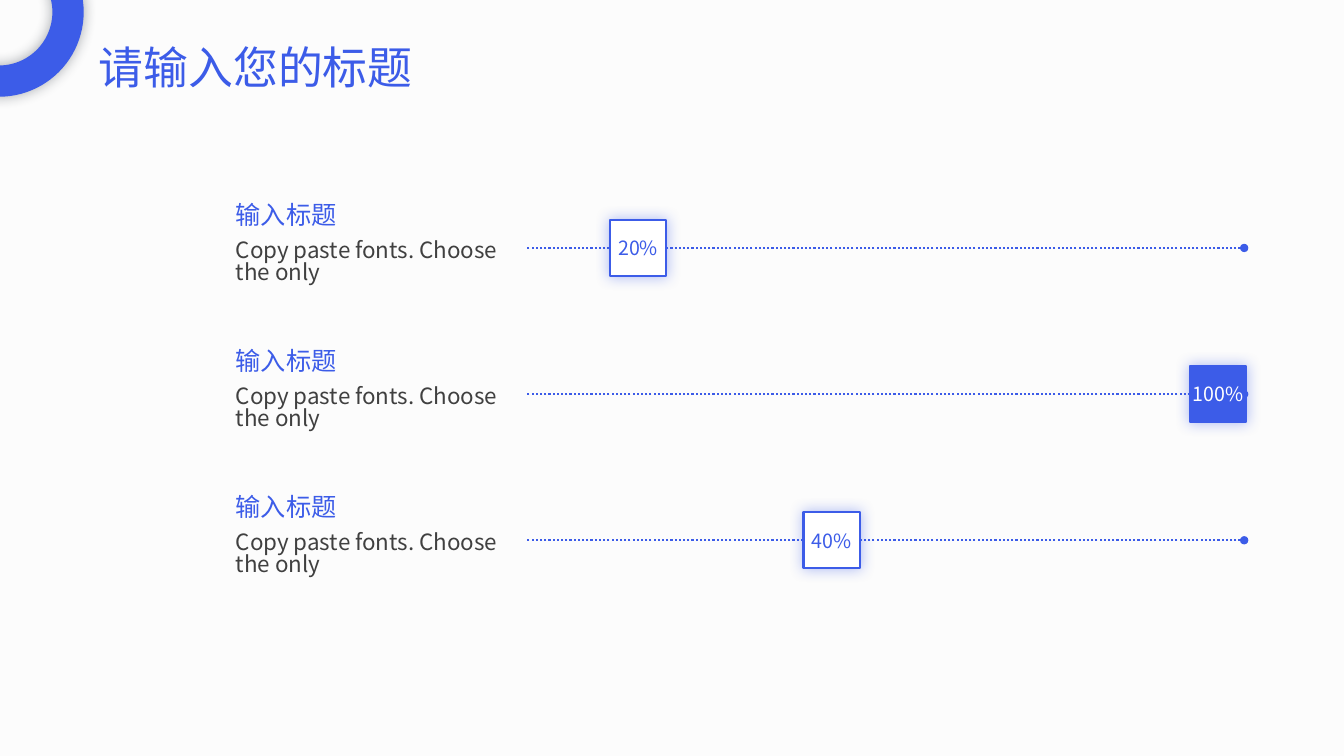
import pptx
import pptx.util
import pptx.oxml
import pptx.oxml.ns
from pptx.dml.color import RGBColor
from pptx.enum.dml import MSO_LINE
from pptx.enum.shapes import MSO_CONNECTOR, MSO_SHAPE
from pptx.enum.text import MSO_ANCHOR, MSO_AUTO_SIZE, PP_ALIGN
from pptx.util import Inches, Pt

BLUE = RGBColor(0x3C, 0x5C, 0xE8)
NAVY = RGBColor(0x22, 0x2A, 0x35)
GRAY = RGBColor(0x40, 0x40, 0x40)
WHITE = RGBColor(0xFF, 0xFF, 0xFF)
PAPER = RGBColor(0xFC, 0xFC, 0xFC)

TRACK_LEFT, TRACK_RIGHT = 5.21, 12.34
TEXT_LEFT = 2.24
MARKER_SIZE = 0.56
FIRST_TRACK, ROW_PITCH = 2.46, 1.45

# share, left edge of the marker, whether the marker is filled
ROWS = [("20%", 6.05, False), ("100%", 11.8, True), ("40%", 7.97, False)]


class ProgressSlide:
    font = "Noto Sans CJK SC"
    line_spacing = 0.82

    def __init__(self, presentation):
        self.slide = presentation.slides.add_slide(presentation.slide_layouts[5])
        fill = self.slide.background.fill
        fill.solid()
        fill.fore_color.rgb = PAPER

    def add_run(self, paragraph, text, size, color):
        run = paragraph.add_run()
        run.text = text
        run.font.name = self.font
        run.font.size = Pt(size)
        run.font.color.rgb = color
        east_asian = run.font._element.makeelement(
            pptx.oxml.ns.qn("a:ea"), {"typeface": self.font})
        run.font._element.append(east_asian)

    def fill_text(self, box, text, size, color, wrap=True):
        """Set tight lines, with the insets keeping the text centred in its box."""
        frame = box.text_frame
        frame.word_wrap = wrap
        frame.auto_size = MSO_AUTO_SIZE.SHAPE_TO_FIT_TEXT
        frame.vertical_anchor = MSO_ANCHOR.TOP
        drop = 0.09 * size / 72
        frame.margin_top = Inches(round(0.05 + drop, 2))
        frame.margin_bottom = Inches(round(0.05 - drop, 2))
        paragraph = frame.paragraphs[0]
        paragraph.alignment = PP_ALIGN.LEFT
        paragraph.line_spacing = self.line_spacing
        self.add_run(paragraph, text, size, color)

    def title(self, text, left, top, width, height):
        title = self.slide.shapes.title
        title.left, title.top = Inches(left), Inches(top)
        title.width, title.height = Inches(width), Inches(height)
        self.fill_text(title, text, 32, BLUE)

    def text(self, text, left, top, width, height, size, color, wrap=True):
        box = self.slide.shapes.add_textbox(
            Inches(left), Inches(top), Inches(width), Inches(height))
        self.fill_text(box, text, size, color, wrap)

    def glow(self, shape, color):
        """Add a soft shadow spreading evenly around the shape."""
        shape.shadow.inherit = False
        effects = shape._element.spPr.find(pptx.oxml.ns.qn("a:effectLst"))
        effects.append(pptx.oxml.parse_xml(
            f'<a:outerShdw {pptx.oxml.ns.nsdecls("a")} blurRad="{Pt(10)}" dist="0" '
            f'algn="ctr" rotWithShape="0"><a:srgbClr val="{color}">'
            '<a:alpha val="40000"/></a:srgbClr></a:outerShdw>'))

    def ring(self, left, top, size, thickness):
        ring = self.slide.shapes.add_shape(
            MSO_SHAPE.DONUT, Inches(left), Inches(top), Inches(size), Inches(size))
        ring.adjustments[0] = thickness / size
        ring.fill.solid()
        ring.fill.fore_color.rgb = BLUE
        ring.line.fill.background()
        self.glow(ring, NAVY)

    def track(self, middle):
        track = self.slide.shapes.add_connector(
            MSO_CONNECTOR.STRAIGHT, Inches(TRACK_RIGHT), Inches(middle),
            Inches(TRACK_LEFT), Inches(middle))
        track.line.color.rgb = BLUE
        track.line.width = Pt(1.5)
        track.line.dash_style = MSO_LINE.ROUND_DOT
        for tag, parent in (("headEnd", track.line._get_or_add_ln()),
                            ("effectLst", track._element.spPr)):
            attributes = {"type": "oval"} if tag == "headEnd" else {}
            parent.append(parent.makeelement(pptx.oxml.ns.qn(f"a:{tag}"), attributes))

    def marker(self, share, left, middle, filled):
        marker = self.slide.shapes.add_shape(
            MSO_SHAPE.RECTANGLE, Inches(left), Inches(middle - MARKER_SIZE / 2),
            Inches(MARKER_SIZE), Inches(MARKER_SIZE))
        marker.fill.solid()
        marker.fill.fore_color.rgb = BLUE if filled else WHITE
        marker.line.color.rgb = BLUE
        marker.line.width = Pt(1.5)
        self.glow(marker, BLUE)
        frame = marker.text_frame
        frame.margin_left = frame.margin_right = 0
        frame.margin_top = frame.margin_bottom = 0
        frame.vertical_anchor = MSO_ANCHOR.MIDDLE
        paragraph = frame.paragraphs[0]
        paragraph.alignment = PP_ALIGN.CENTER
        self.add_run(paragraph, share, 14, WHITE if filled else BLUE)


def main():
    presentation = pptx.Presentation()
    presentation.slide_width = Inches(13.33)
    presentation.slide_height = Inches(7.5)

    page = ProgressSlide(presentation)
    for index, (share, marker_left, filled) in enumerate(ROWS):
        middle = FIRST_TRACK + index * ROW_PITCH
        page.track(middle)
        page.marker(share, marker_left, middle, filled)
        page.text("输入标题", TEXT_LEFT, middle - 0.5, 1.21, 0.4, 18, BLUE, wrap=False)
        page.text("Copy paste fonts. Choose the only",
                  TEXT_LEFT, middle - 0.14, 2.99, 0.64, 16, GRAY)
    page.ring(-0.85, -0.72, 1.68, 0.31)
    page.title("请输入您的标题", 0.88, 0.4, 4.62, 0.64)

    presentation.save("out.pptx")


if __name__ == "__main__":
    main()
